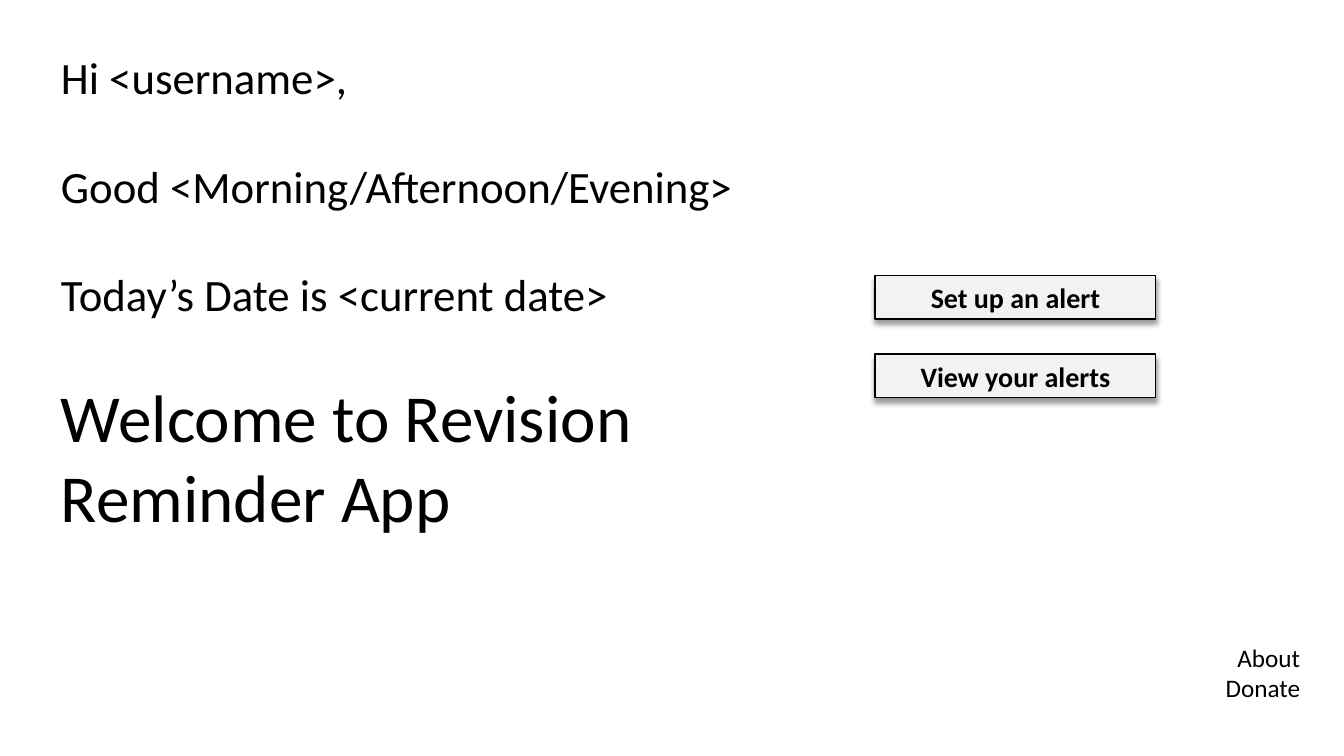
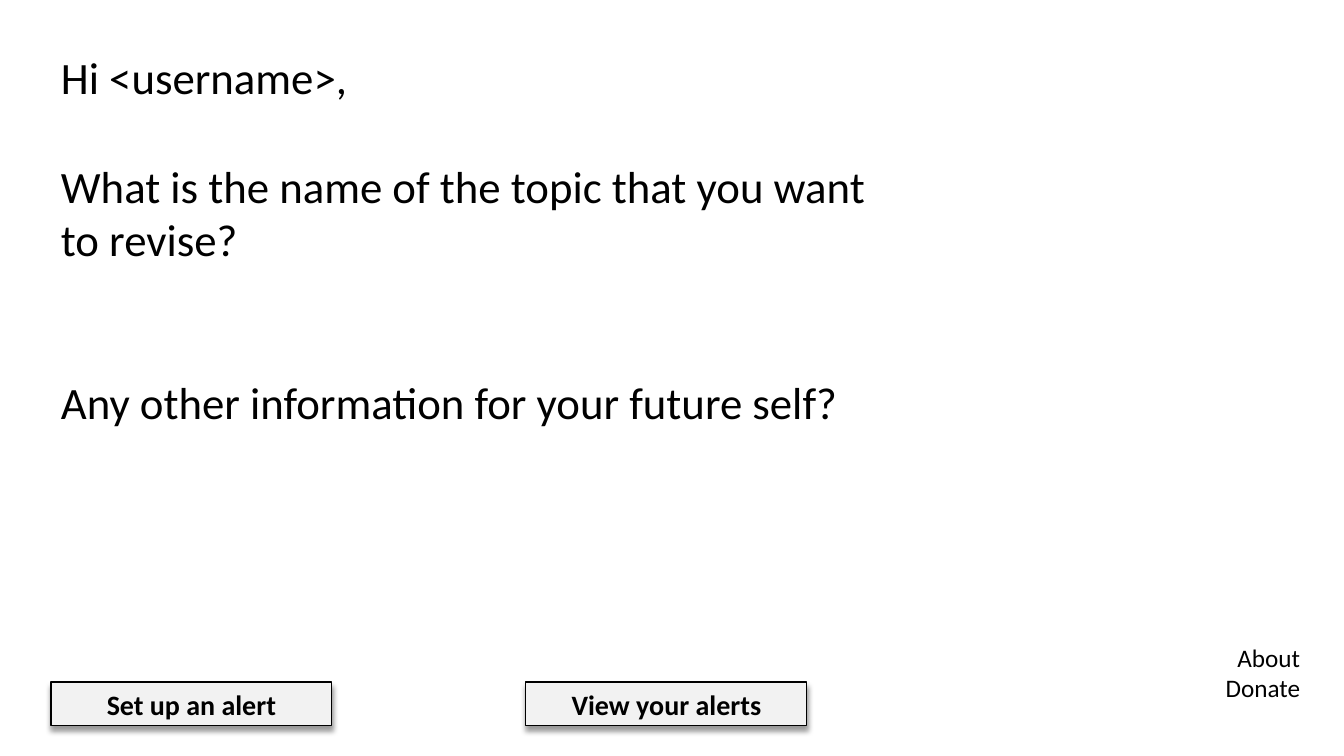
from dataclasses import dataclass

from lxml import etree
from pptx import Presentation
from pptx import util as u
from pptx.dml.color import RGBColor
from pptx.enum import shapes, text
from pptx.oxml.ns import qn

SLIDE_SIZE = (1344, 756)
EMU_PER_PX = 914400 / 100.8
FONT = "Calibri"
COLORS = {"ink": "000000", "button": "F2F2F2", "background": "FFFFFF"}
BODY_SIZE = 32
BODY_GAP = 39  # points, one line of body text
BUTTON_SIZE = (281, 44)
BUTTON_LABELS = ("Set up an alert", "View your alerts")
FOOTER_BOX = (1002, 637, 308, 72)
FOOTER_LINKS = ("About", "Donate")


@dataclass(frozen=True)
class Line:
    words: str
    size: int = BODY_SIZE
    gap_lines: int = 0
    bold: bool = False


@dataclass(frozen=True)
class Screen:
    body_height: int
    lines: tuple[Line, ...]
    button_origin: tuple[int, int]
    button_step: tuple[int, int]


GREETING = Line("Hi <username>,")
SCREENS = (
    Screen(
        body_height=661,
        lines=(
            GREETING,
            Line("Good <Morning/Afternoon/Evening>", gap_lines=1),
            Line("Today’s Date is <current date>", gap_lines=1),
            Line("Welcome to Revision Reminder App", size=48, gap_lines=1),
        ),
        button_origin=(875, 275),
        button_step=(0, 79),
    ),
    Screen(
        body_height=499,
        lines=(
            GREETING,
            Line("What is the name of the topic that you want to revise?", gap_lines=1),
            Line("Any other information for your future self?", gap_lines=2),
        ),
        button_origin=(51, 682),
        button_step=(475, 0),
    ),
)


def px(length: int) -> u.Emu:
    return u.Emu(round(length * EMU_PER_PX))


def color(name: str) -> RGBColor:
    return RGBColor.from_string(COLORS[name])


def write_lines(shape, lines: tuple[Line, ...], alignment) -> None:
    frame = shape.text_frame
    frame.word_wrap = True
    frame.auto_size = text.MSO_AUTO_SIZE.SHAPE_TO_FIT_TEXT
    for index, line in enumerate(lines):
        paragraph = frame.add_paragraph() if index else frame.paragraphs[0]
        paragraph.alignment = alignment
        if line.gap_lines:
            paragraph.space_before = u.Pt(BODY_GAP * line.gap_lines)
        run = paragraph.add_run()
        run.text = line.words
        run.font.name = FONT
        run.font.size = u.Pt(line.size)
        run.font.bold = line.bold
        run.font.color.rgb = color("ink")


def add_text(slide, box: tuple[int, int, int, int], lines: tuple[Line, ...],
             alignment=text.PP_ALIGN.LEFT) -> None:
    shape = slide.shapes.add_textbox(*map(px, box))
    write_lines(shape, lines, alignment)


def add_drop_shadow(shape) -> None:
    """Replace the theme shadow with a soft one straight below the shape."""
    shape.shadow.inherit = False
    effects = shape.element.spPr.find(qn("a:effectLst"))
    shadow = etree.SubElement(
        effects, qn("a:outerShdw"), blurRad=str(u.Pt(4)), dist=str(u.Pt(3)),
        dir="5400000", algn="t", rotWithShape="0")
    tint = etree.SubElement(shadow, qn("a:srgbClr"), val=COLORS["ink"])
    etree.SubElement(tint, qn("a:alpha"), val="40000")


def add_button(slide, left: int, top: int, label: str) -> None:
    button = slide.shapes.add_shape(
        shapes.MSO_SHAPE.RECTANGLE, *map(px, (left, top, *BUTTON_SIZE)))
    button.fill.solid()
    button.fill.fore_color.rgb = color("button")
    button.line.color.rgb = color("ink")
    button.line.width = u.Pt(0.75)
    add_drop_shadow(button)
    button.text_frame.vertical_anchor = text.MSO_ANCHOR.MIDDLE
    write_lines(button, (Line(label, size=20, bold=True),), text.PP_ALIGN.CENTER)


def add_screen(presentation, screen: Screen) -> None:
    slide = presentation.slides.add_slide(presentation.slide_layouts[6])
    slide.background.fill.solid()
    slide.background.fill.fore_color.rgb = color("background")
    add_text(slide, (51, 45, 855, screen.body_height), screen.lines)
    left, top = screen.button_origin
    step_x, step_y = screen.button_step
    for index, label in enumerate(BUTTON_LABELS):
        add_button(slide, left + index * step_x, top + index * step_y, label)
    links = tuple(Line(link, size=18) for link in FOOTER_LINKS)
    add_text(slide, FOOTER_BOX, links, text.PP_ALIGN.RIGHT)


def main() -> None:
    presentation = Presentation()
    presentation.slide_width, presentation.slide_height = map(px, SLIDE_SIZE)
    for screen in SCREENS:
        add_screen(presentation, screen)
    presentation.save("out.pptx")


if __name__ == "__main__":
    main()
